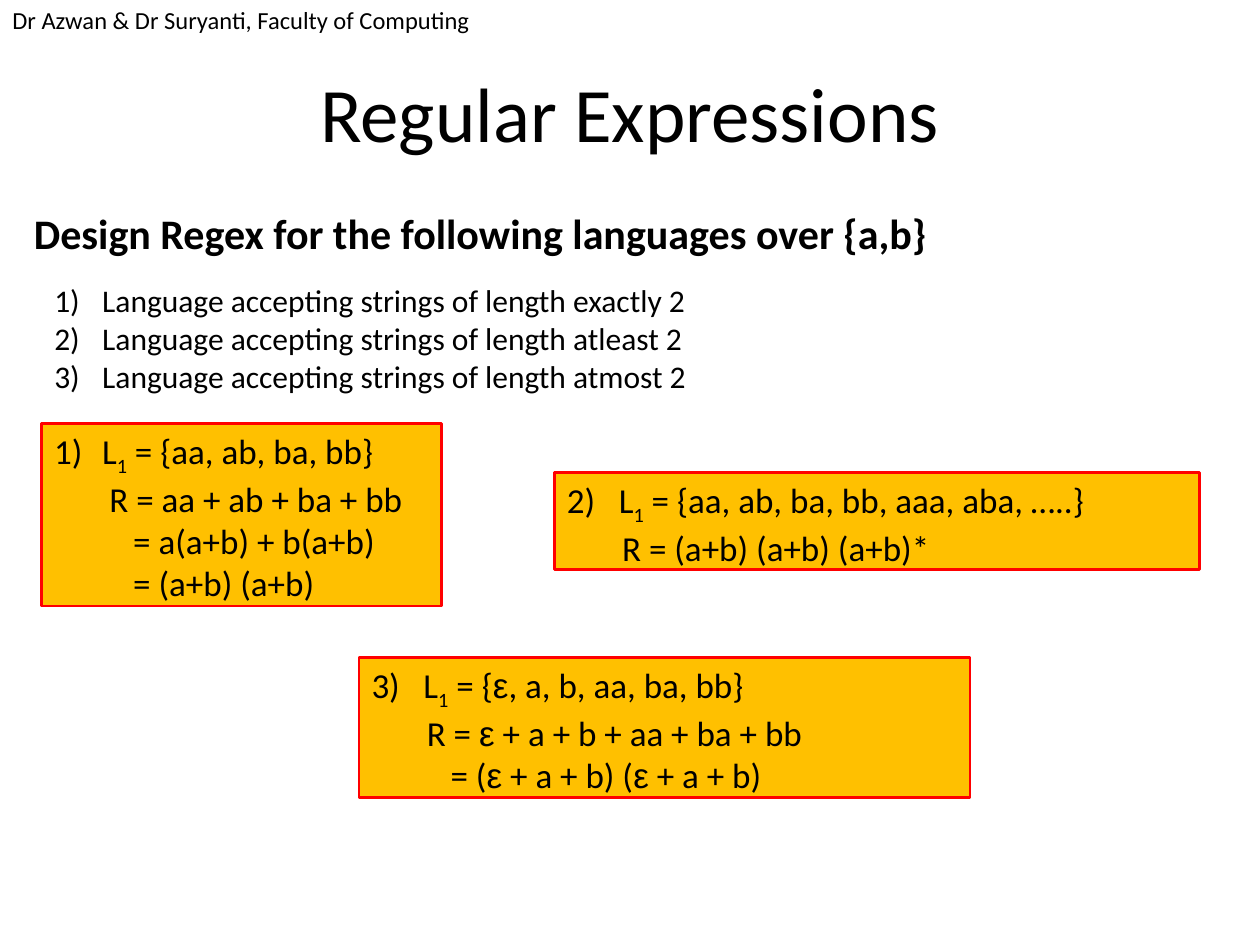
from dataclasses import dataclass
from itertools import groupby

from lxml import etree
from pptx import Presentation
from pptx.dml.color import RGBColor
from pptx.enum.shapes import MSO_SHAPE
from pptx.enum.text import MSO_ANCHOR, MSO_AUTO_SIZE, PP_ALIGN
from pptx.oxml.ns import qn
from pptx.util import Pt

RECTANGLE = MSO_SHAPE.RECTANGLE
TOP, MIDDLE = MSO_ANCHOR.TOP, MSO_ANCHOR.MIDDLE
LEFT, CENTER = PP_ALIGN.LEFT, PP_ALIGN.CENTER
NO_FIT = MSO_AUTO_SIZE.NONE


@dataclass(frozen=True)
class Theme:
    font: str = "Calibri"
    greek_font: str = "Arial"
    ink: RGBColor = RGBColor(0, 0, 0)
    fill: RGBColor = RGBColor(0xFF, 0xC0, 0x00)
    border: RGBColor = RGBColor(0xFF, 0x00, 0x00)
    header: int = 14
    title: int = 44
    heading: int = 24
    question: int = 18
    answer: int = 20


THEME = Theme()

QUESTIONS = [f"Language accepting strings of length {limit} 2"
             for limit in ("exactly", "atleast", "atmost")]

# Place (left, top, width, height), hanging indent and lines; ₁ marks a subscript
ANSWERS = [
    ((23.8, 242, 228.5, 104.4), 27.4,
     ["L₁ = {aa, ab, ba, bb}", "R = aa + ab + ba + bb",
      "= a(a+b) + b(a+b)", "= (a+b) (a+b)"]),
    ((316.8, 270, 368.6, 55.4), 29.7,
     ["L₁ = {aa, ab, ba, bb, aaa, aba, …..}", "R = (a+b) (a+b) (a+b)*"]),
    ((205.2, 375.8, 349.2, 79.9), 29.7,
     ["L₁ = {ε, a, b, aa, ba, bb}", "R = ε + a + b + aa + ba + bb",
      "= (ε + a + b) (ε + a + b)"]),
]
RESULT_INDENT, STEP_INDENT = 31.6, 45.2


def place(shape, left, top, width, height):
    shape.left, shape.top = Pt(left), Pt(top)
    shape.width, shape.height = Pt(width), Pt(height)


def style_span(span, size, bold=False, font=THEME.font):
    span.font.name, span.font.size = font, Pt(size)
    span.font.bold = bold
    span.font.color.rgb = THEME.ink


def write(frame, text, size, bold=False):
    """Put one line of text in a frame without side margins."""
    frame.text = text
    frame.auto_size = NO_FIT
    frame.margin_left = frame.margin_right = frame.margin_bottom = 0
    frame.margin_top = Pt(1)
    para = frame.paragraphs[0]
    para.space_before = Pt(1)
    style_span(para.runs[0], size, bold)
    return para


def indent(para, left, number=None):
    """Indent a paragraph, hanging behind a number when one is given."""
    props = para._p.get_or_add_pPr()
    props.set("marL", str(Pt(left)))
    props.set("indent", str(-Pt(left) if number else 0))
    if number:
        bullet = etree.SubElement(props, qn("a:buAutoNum"), type="arabicParenR")
        if number > 1:
            bullet.set("startAt", str(number))


def write_formula(para, formula):
    """Write a formula with Greek letters and subscripts in runs of their own."""
    for mark, letters in groupby(formula, lambda c: c if c in "ε₁" else ""):
        span = para.add_run()
        span.text = "".join(letters).replace("₁", "1")
        style_span(span, THEME.answer,
                   font=THEME.greek_font if mark == "ε" else THEME.font)
        if mark == "₁":
            span._r.get_or_add_rPr().set("baseline", "-25000")


def add_header(page, text):
    box = page.shapes.add_textbox(0, Pt(-0.7), Pt(278), Pt(24.5))
    box.text_frame.word_wrap = False
    box.text_frame.text = text
    style_span(box.text_frame.paragraphs[0].runs[0], THEME.header)


def set_title(page, text):
    title = page.shapes.title
    place(title, 177.8, 36, 364.3, 54.7)
    title.text_frame.vertical_anchor = MIDDLE
    write(title.text_frame, text, THEME.title).alignment = CENTER


def add_heading(page, text):
    box = page.shapes.add_textbox(Pt(19.4), Pt(111.6), Pt(700.6), Pt(33.8))
    box.text_frame.word_wrap = True
    write(box.text_frame, text, THEME.heading, bold=True).line_spacing = 1.2


def set_questions(page, questions):
    body = page.placeholders[1]
    place(body, 23.8, 157, 643.7, 72.7)
    frame = body.text_frame
    frame.text = "\n".join(questions)
    frame.auto_size = NO_FIT
    for para in frame.paragraphs:
        para.space_before = Pt(0)
        indent(para, 27.4, number=1)
        style_span(para.runs[0], THEME.question)


def add_answer(page, number, area, hanging, formulas):
    box = page.shapes.add_shape(RECTANGLE, *map(Pt, area))
    box.shadow.inherit = False
    box.fill.solid()
    box.fill.fore_color.rgb = THEME.fill
    box.line.color.rgb = THEME.border
    box.line.width = Pt(1.5)
    frame = box.text_frame
    frame.word_wrap = True
    frame.auto_size = NO_FIT
    frame.vertical_anchor = TOP
    for row, formula in enumerate(formulas):
        para = frame.add_paragraph() if row else frame.paragraphs[0]
        para.alignment = LEFT
        if row == 0:
            indent(para, hanging, number)
        else:
            indent(para, RESULT_INDENT if row == 1 else STEP_INDENT)
        write_formula(para, formula)


def main():
    deck = Presentation()
    deck.slide_width, deck.slide_height = Pt(720), Pt(540)
    page = deck.slides.add_slide(deck.slide_layouts[1])

    # Header, title and task
    add_header(page, "Dr Azwan & Dr Suryanti, Faculty of Computing")
    set_title(page, "Regular Expressions")
    add_heading(page, "Design Regex for the following languages over {a,b}")
    set_questions(page, QUESTIONS)

    # One box for each answer
    for number, (area, hanging, formulas) in enumerate(ANSWERS, start=1):
        add_answer(page, number, area, hanging, formulas)

    deck.save("out.pptx")


if __name__ == "__main__":
    main()
